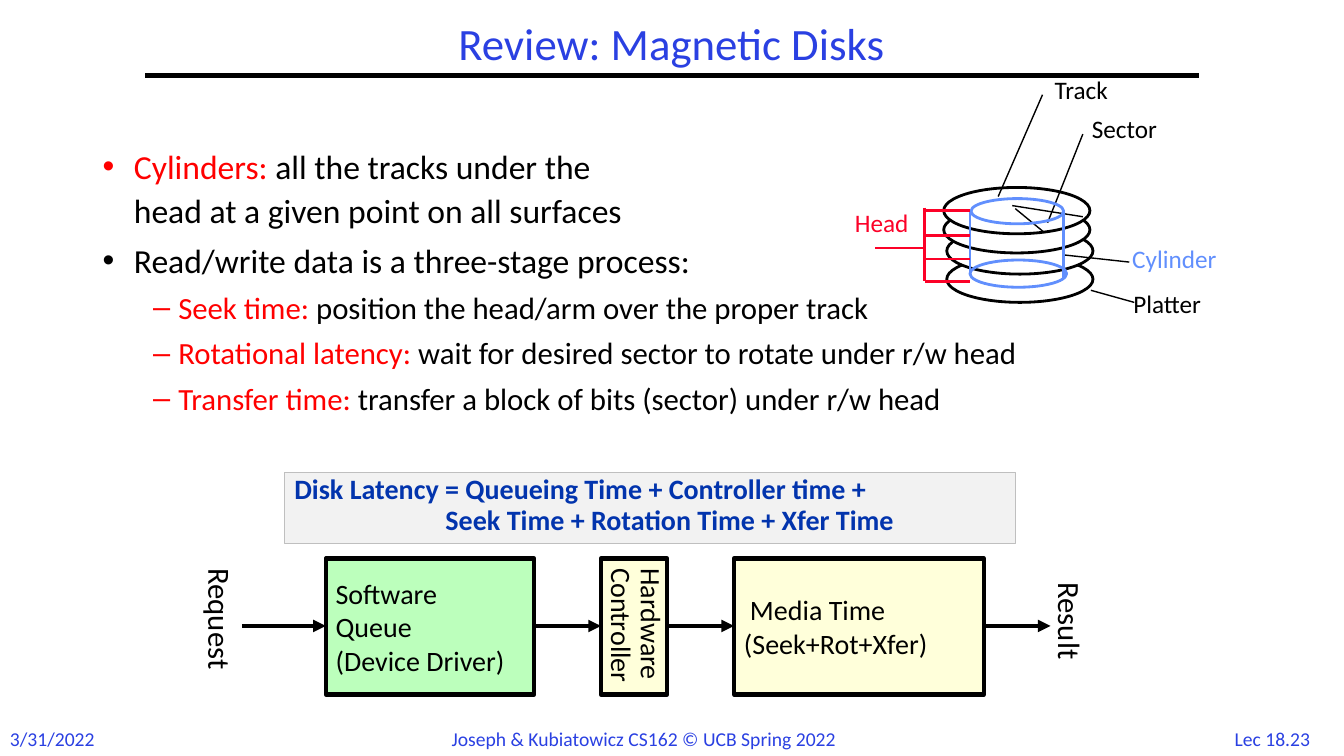
from lxml import etree
from pptx import Presentation
from pptx.dml.color import RGBColor
from pptx.enum.shapes import MSO_CONNECTOR as CONNECTOR, MSO_SHAPE as SHAPE
from pptx.enum.text import MSO_ANCHOR as ANCHOR, PP_ALIGN as ALIGN
from pptx.oxml.ns import qn
from pptx.util import Inches, Pt

FONT = "Calibri"
COLORS = {
    "black": "000000", "white": "FFFFFF", "blue": "2A40E2", "red": "FF0000",
    "head": "FC0128", "cylinder": "618FFD", "queue": "BCFFBC", "stage": "FFFFDA",
    "formula": "0234AD", "panel": "F2F2F2", "border": "BFBFBF",
}


def rgb(name):
    return RGBColor.from_string(COLORS[name])


def style_font(font, size, color, bold=False):
    font.name, font.size, font.bold = FONT, Pt(size), bold
    font.color.rgb = rgb(color)


def set_margins(frame, side=0.1, top=0.05):
    frame.margin_left = frame.margin_right = Inches(side)
    frame.margin_top = frame.margin_bottom = Inches(top)
    frame.word_wrap = True


def write_lines(frame, lines, size, color, bold=False, align=ALIGN.LEFT,
                spacing=1.0, before=0, indents=()):
    """One paragraph per line; indents gives a left indent by line number."""
    indents = dict(indents)
    for number, line in enumerate(lines):
        paragraph = frame.add_paragraph() if number else frame.paragraphs[0]
        paragraph.text = line
        paragraph.alignment = align
        paragraph.line_spacing = spacing
        if number:
            paragraph.space_before = Pt(before)
        if number in indents:
            paragraph._p.get_or_add_pPr().set("marL", str(Inches(indents[number])))
        style_font(paragraph.font, size, color, bold)


def add_label(slide, box, text, size, color, margins=(0.1, 0.05), rotation=0, **layout):
    label = slide.shapes.add_textbox(*map(Inches, box))
    label.rotation = rotation
    set_margins(label.text_frame, *margins)
    write_lines(label.text_frame, [text], size, color, **layout)


def add_figure(slide, preset, box, fill, line, width):
    figure = slide.shapes.add_shape(preset, *map(Inches, box))
    figure.shadow.inherit = False
    if fill:
        figure.fill.solid()
        figure.fill.fore_color.rgb = rgb(fill)
    else:
        figure.fill.background()
    figure.line.color.rgb = rgb(line)
    figure.line.width = Pt(width)
    return figure


def add_box(slide, box, lines, fill, line="black", width=3, size=20, color="black",
            anchor=ANCHOR.MIDDLE, vertical=False, **layout):
    frame = add_figure(slide, SHAPE.RECTANGLE, box, fill, line, width).text_frame
    set_margins(frame)
    frame.vertical_anchor = anchor
    if vertical:
        frame._txBody.bodyPr.set("vert", "eaVert")
    write_lines(frame, lines, size, color, **layout)


def add_line(slide, start, end, color="black", width=1, arrow=False):
    line = slide.shapes.add_connector(CONNECTOR.STRAIGHT, *map(Inches, start + end))
    line.line.color.rgb = rgb(color)
    line.line.width = Pt(width)
    if arrow:
        etree.SubElement(line.line._get_or_add_ln(), qn("a:tailEnd"), type="triangle")
    etree.SubElement(line._element.spPr, qn("a:effectLst"))


def add_bullets(slide, box, items):
    outline = slide.shapes.add_textbox(*map(Inches, box)).text_frame
    set_margins(outline)
    styles = [("•", 0.31, 0.31, 24), ("–", 0.75, 0.25, 22)]
    for number, (level, term, text) in enumerate(items):
        mark, left, hanging, size = styles[level]
        paragraph = outline.add_paragraph() if number else outline.paragraphs[0]
        properties = paragraph._p.get_or_add_pPr()
        properties.set("marL", str(Inches(left)))
        properties.set("indent", str(-Inches(hanging)))
        etree.SubElement(properties, qn("a:buFont"), typeface="Arial")
        etree.SubElement(properties, qn("a:buChar"), char=mark)
        paragraph.level = level
        paragraph.line_spacing = 1.1
        if number:
            paragraph.space_before = Pt(3.5)
        for part, color in ((term, "red"), (text, "black")):
            for row, piece in enumerate(part.split("\n") if part else []):
                if row:
                    paragraph.add_line_break()
                run = paragraph.add_run()
                run.text = piece
                style_font(run.font, size, color)


def add_frame(slide):
    title = slide.shapes.title
    title.left, title.top, title.width, title.height = map(Inches, (1.44, 0.17, 10.44, 0.58))
    set_margins(title.text_frame)
    title.text_frame.vertical_anchor = ANCHOR.MIDDLE
    write_lines(title.text_frame, ["Review: Magnetic Disks"], 32, "blue",
                align=ALIGN.CENTER, spacing=0.9)
    add_line(slide, (1.44, 0.75), (11.89, 0.75), width=3)
    add_label(slide, (0, 7.16, 1.3, 0.34), "3/31/2022", 14, "blue")
    add_label(slide, (4.38, 7.16, 4.55, 0.34),
              "Joseph & Kubiatowicz CS162 © UCB Spring 2022", 14, "blue")
    add_label(slide, (12.08, 7.16, 1.08, 0.34), "Lec 18.23", 14, "blue", align=ALIGN.CENTER)


def add_disk(slide):
    # Platters, from the bottom up
    for left, top in ((9.39, 2.54), (9.39, 2.26), (9.36, 2.05), (9.36, 1.86)):
        add_figure(slide, SHAPE.OVAL, (left, top, 1.45, 0.46), "white", "black", 2)

    # Sector edges and pointers to the parts
    for start, end in (
        ((10.07, 2.07), (10.35, 2.3)), ((10.04, 2.04), (10.74, 2.15)),
        ((10.39, 2.21), (10.74, 1.33)), ((9.9, 1.95), (10.34, 0.94)),
        ((10.56, 2.53), (11.2, 2.6)), ((10.82, 2.88), (11.25, 3)),
    ):
        add_line(slide, start, end)

    # Cylinder
    for ring in ((9.62, 2.58, 0.96, 0.27), (9.63, 1.97, 0.92, 0.25)):
        add_figure(slide, SHAPE.OVAL, ring, None, "cylinder", 2)
    for x, bottom in ((9.62, 2.71), (10.55, 2.76)):
        add_line(slide, (x, 2.09), (x, bottom), "cylinder", 2)

    # Head: one arm per platter on a common stem
    add_line(slide, (9.17, 2.06), (9.17, 2.79), "head", 2)
    for y in (2.09, 2.34, 2.57, 2.79):
        add_line(slide, (9.17, y), (9.62, y), "head", 2)
    add_line(slide, (9.18, 2.46), (8.68, 2.46), "head", 2)

    for text, left, top, color in (
        ("Track", 10.39, 0.75, "black"), ("Sector", 10.76, 1.14, "black"),
        ("Head", 8.41, 2.07, "head"), ("Cylinder", 11.16, 2.43, "cylinder"),
        ("Platter", 11.17, 2.88, "black"),
    ):
        add_label(slide, (left, top, 1.07, 0.31), text, 18, color,
                  margins=(0.07, 0.03), spacing=0.85)


def add_request_flow(slide):
    top, height, middle = 5.54, 1.35, 6.21
    add_box(slide, (3.23, top, 2.07, height), ["Software", "Queue", "(Device Driver)"], "queue")
    add_box(slide, (5.96, top, 0.66, height), ["Hardware", "Controller"], "stage",
            vertical=True, spacing=0.8, before=2)
    add_box(slide, (7.28, top, 2.48, height), ["Media Time", "(Seek+Rot+Xfer)"], "stage",
            indents={0: 0.06})
    for start, end in ((2.4, 3.23), (5.29, 5.96), (6.62, 7.28), (9.76, 10.42)):
        add_line(slide, (start, middle), (end, middle), width=3, arrow=True)
    for text, left, width in (("Request", 1.51, 1.35), ("Result", 10.08, 1.07)):
        add_label(slide, (left, 5.98, width, 0.47), text, 22, "black", rotation=90)


def main():
    deck = Presentation()
    deck.slide_width, deck.slide_height = Inches(13.33), Inches(7.5)
    slide = deck.slides.add_slide(deck.slide_layouts[5])

    add_frame(slide)
    add_bullets(slide, (0.92, 1.36, 11.5, 3.28), [
        (0, "Cylinders: ", "all the tracks under the \nhead at a given point on all surfaces"),
        (0, "", "Read/write data is a three-stage process:"),
        (1, "Seek time: ", "position the head/arm over the proper track"),
        (1, "Rotational latency: ", "wait for desired sector to rotate under r/w head"),
        (1, "Transfer time: ", "transfer a block of bits (sector) under r/w head"),
    ])
    add_disk(slide)
    add_request_flow(slide)

    # Latency formula
    add_box(slide, (2.82, 4.69, 7.25, 0.7),
            ["Disk Latency = Queueing Time + Controller time +",
             "Seek Time + Rotation Time + Xfer Time"],
            "panel", line="border", width=0.75, color="formula", bold=True,
            anchor=ANCHOR.TOP, spacing=0.8, before=3, indents={1: 1.5})

    deck.save("out.pptx")


if __name__ == "__main__":
    main()
